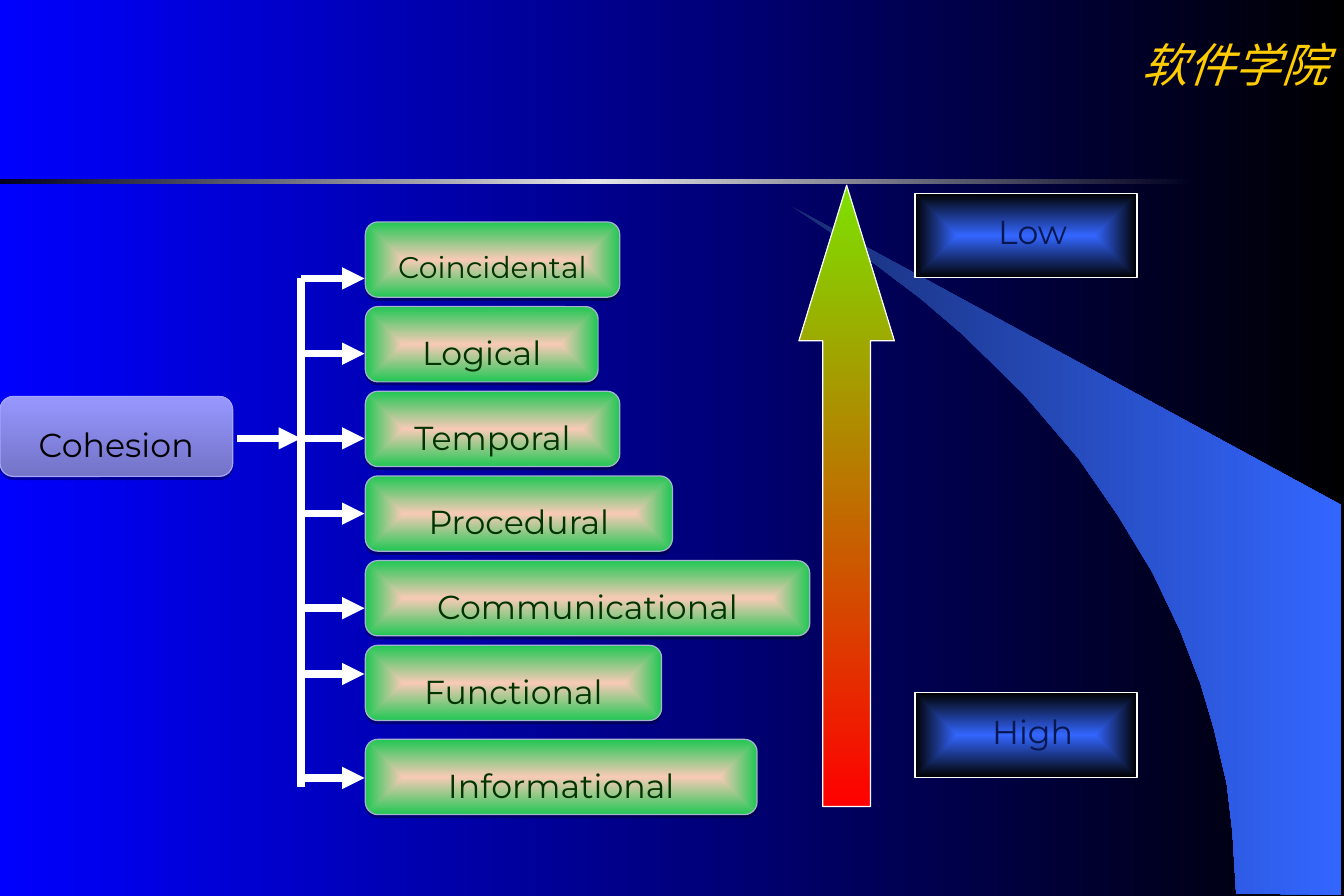
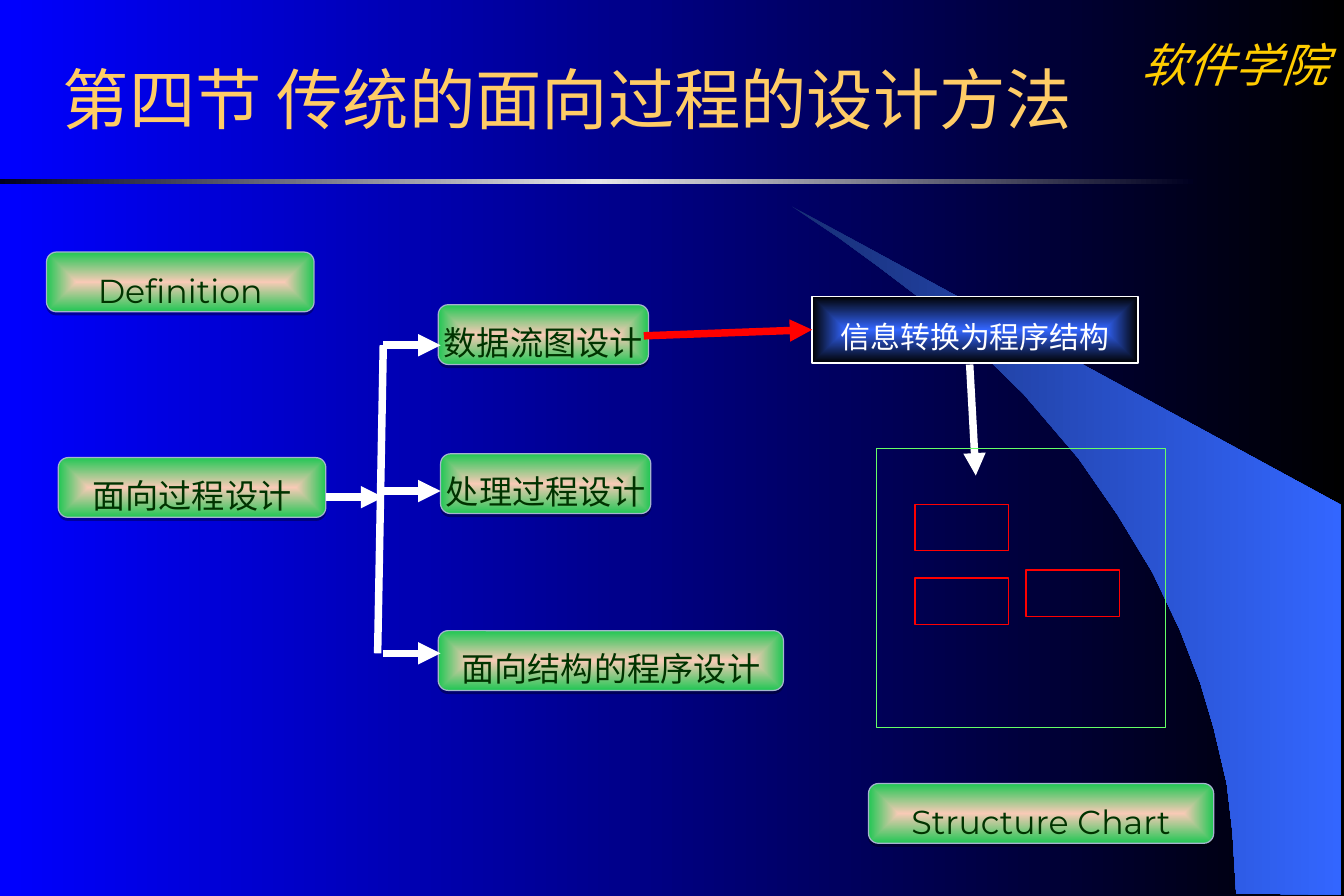
from copy import deepcopy

from lxml.etree import SubElement
from pptx import Presentation
from pptx.dml.color import RGBColor
from pptx.enum.shapes import MSO_CONNECTOR, MSO_SHAPE
from pptx.enum.text import MSO_ANCHOR, PP_ALIGN
from pptx.oxml.ns import qn
from pptx.util import Cm, Pt

COLORS = {
    "blue": "0000FF", "black": "000000", "white": "FFFFFF", "red": "FF0000",
    "navy": "000020", "silver": "E5E5E8", "gold": "FFCC00", "title": "FFCC66",
    "deep": "182F76", "royal": "3366FF", "ink": "08184E",
    "violet": "7373C7", "lilac": "9797FF", "lilac_edge": "A4A4FB",
    "peach": "F8CAB6", "green": "21C754", "green_edge": "A5B5CF",
    "green_text": "003300", "lime": "7DE100", "frame": "66FF66",
}
RGB = {name: RGBColor.from_string(value) for name, value in COLORS.items()}

# Style: preset, gradient colours, angle (None runs from the centre), outline
STYLES = {
    "rule": (MSO_SHAPE.RECTANGLE, ("navy", "navy"), 0, None),
    "root": (MSO_SHAPE.ROUNDED_RECTANGLE, ("violet", "lilac"), 90, "lilac_edge"),
    "node": (MSO_SHAPE.ROUNDED_RECTANGLE, ("peach", "green"), None, "green_edge"),
    "label": (MSO_SHAPE.RECTANGLE, ("royal", "black"), None, "white"),
    "scale": (MSO_SHAPE.UP_ARROW, ("lime", "red"), 270, "white"),
    "red_frame": (MSO_SHAPE.RECTANGLE, None, 0, "red"),
    "green_frame": (MSO_SHAPE.RECTANGLE, None, 0, "frame"),
}


def add_box(s, style, left, top, width, height, text="", size=20,
            color="green_text", font="Montserrat", spacing=1.4):
    preset, shades, angle, edge = STYLES[style]
    sp = s.shapes.add_shape(preset, Cm(left), Cm(top), Cm(width), Cm(height))
    sp.shadow.inherit = False
    if shades:
        sp.fill.gradient()
        for stop, shade in zip(sp.fill.gradient_stops, shades):
            stop.color.rgb = RGB[shade]
        if angle is None:
            grad = sp.element.spPr.find(qn("a:gradFill"))
            grad.remove(grad.find(qn("a:lin")))
            centre = SubElement(grad, qn("a:path"), path="rect")
            SubElement(centre, qn("a:fillToRect"), dict.fromkeys("ltrb", "50000"))
        else:
            sp.fill.gradient_angle = angle
    else:
        sp.fill.background()
    if edge:
        sp.line.color.rgb = RGB[edge]
        sp.line.width = Pt(0.75)
    else:
        sp.line.fill.background()
    if preset == MSO_SHAPE.ROUNDED_RECTANGLE:
        effects = sp.element.spPr.find(qn("a:effectLst"))
        shadow = SubElement(effects, qn("a:outerShdw"), blurRad="0", dist="22860",
                            dir="5400000", rotWithShape="0")
        tint = SubElement(shadow, qn("a:srgbClr"), val=COLORS["black"])
        SubElement(tint, qn("a:alpha"), val="35000")
    if text:
        tf = sp.text_frame
        tf.margin_left = tf.margin_right = tf.margin_top = tf.margin_bottom = 0
        tf.vertical_anchor = MSO_ANCHOR.MIDDLE
        tf.word_wrap = True
        tf.text = text
        p = tf.paragraphs[0]
        p.alignment = PP_ALIGN.CENTER
        p.line_spacing = spacing
        r = p.runs[0]
        r.font.size, r.font.name, r.font.color.rgb = Pt(size), font, RGB[color]
    return sp


def add_line(s, x1, y1, x2, y2, color="white", arrow=True):
    line = s.shapes.add_connector(MSO_CONNECTOR.STRAIGHT, Cm(x1), Cm(y1), Cm(x2), Cm(y2))
    line.line.color.rgb = RGB[color]
    line.line.width = Pt(4.5)
    if arrow:
        SubElement(line.element.spPr.find(qn("a:ln")), qn("a:tailEnd"), type="triangle")
    SubElement(line.element.spPr, qn("a:effectLst"))


prs = Presentation()
prs.slide_width, prs.slide_height = Cm(28.58), Cm(19.05)
layout = prs.slide_layouts[6]

# Shared background
fill = prs.slide_master.background.fill
fill.gradient()
fill.gradient_angle = 0
for stop, shade in zip(fill.gradient_stops, ("blue", "black")):
    stop.color.rgb = RGB[shade]

# Shared decoration: drawn on the first slide, then moved to the layout
s = prs.slides.add_slide(layout)
tb = s.shapes.add_textbox(Cm(23.93), Cm(0.64), Cm(4.65), Cm(1.45))
tf = tb.text_frame
tf.word_wrap = True
tf.text = "软件学院"
p = tf.paragraphs[0]
p.alignment = PP_ALIGN.CENTER
r = p.runs[0]
r.font.size, r.font.name, r.font.italic = Pt(28), "Times New Roman", True
r.font.color.rgb = RGB["gold"]

# Swoosh outline in hundredths of a centimetre
outline = [
    (2629, 1900), (2852, 1902), (2852, 1074), (1684, 439), (1783, 505), (1864, 564),
    (1958, 635), (2047, 711), (2177, 838), (2294, 975), (2377, 1095), (2451, 1217),
    (2510, 1341), (2553, 1453), (2581, 1547), (2609, 1666), (2621, 1768),
]
builder = s.shapes.build_freeform(*outline[0], scale=Cm(0.01))
builder.add_line_segments(outline[1:], close=True)
swoosh = builder.convert_to_shape()
swoosh.shadow.inherit = False
swoosh.line.fill.background()
swoosh.fill.gradient()
swoosh.fill.gradient_angle = 0
for stop, shade in zip(swoosh.fill.gradient_stops, ("deep", "royal")):
    stop.color.rgb = RGB[shade]

# Rule under the title, with a bright middle stop
rule = add_box(s, "rule", 0, 3.81, 25.37, 0.1)
stops = rule.element.spPr.find(qn("a:gradFill")).find(qn("a:gsLst"))
middle = deepcopy(stops[0])
middle.set("pos", "50000")
middle[0].set("val", COLORS["silver"])
stops.insert(1, middle)

for sp in (tb, swoosh, rule):
    layout.shapes.element.append(sp.element)

# Slide 1: kinds of cohesion, each with its width, arrow height and text size
add_box(s, "root", 0, 8.43, 4.95, 1.7, "Cohesion", color="black")
add_line(s, 6.4, 5.92, 6.4, 16.74, arrow=False)
add_line(s, 5.05, 9.32, 6.4, 9.32)
kinds = [
    ("Coincidental", 5.41, 5.92, 18),
    ("Logical", 4.95, 7.52, 20),
    ("Temporal", 5.41, 9.32, 20),
    ("Procedural", 6.53, 10.92, 20),
    ("Communicational", 9.45, 12.93, 20),
    ("Functional", 6.3, 14.33, 20),
    ("Informational", 8.33, 16.54, 20),
]
tops = [4.72 + 1.8 * i for i in range(6)] + [15.72]
for (text, width, arrow_y, size), top in zip(kinds, tops):
    add_box(s, "node", 7.77, top, width, 1.6, text, size)
    add_line(s, 6.4, arrow_y, 7.75, arrow_y)

# Slide 1: scale from high to low
scale = add_box(s, "scale", 16.99, 3.94, 2.03, 13.21)
scale.adjustments[0], scale.adjustments[1] = 0.5, 1.63
for text, top in (("Low", 4.11), ("High", 14.73)):
    label = add_box(s, "label", 19.46, top, 4.72, 1.8, text, color="ink", spacing=1.0)
    label.text_frame.margin_left = Cm(0.28)
    label.text_frame.margin_bottom = Cm(0.18)

# Slide 2: title
s = prs.slides.add_slide(layout)
tb = s.shapes.add_textbox(Cm(1.09), Cm(1.12), Cm(22.73), Cm(1.65))
tf = tb.text_frame
tf.word_wrap = True
tf.text = "第四节 传统的面向过程的设计方法"
r = tf.paragraphs[0].runs[0]
r.font.size, r.font.name, r.font.color.rgb = Pt(40), "Montserrat", RGB["title"]

# Slide 2: design steps
for text, left, top, width in [
    ("Definition", 0.99, 5.36, 5.69),
    ("面向过程设计", 1.24, 9.73, 5.69),
    ("数据流图设计", 9.32, 6.48, 4.47),
    ("处理过程设计", 9.37, 9.65, 4.47),
    ("面向结构的程序设计", 9.32, 13.41, 7.34),
    ("Structure Chart", 18.47, 16.66, 7.34),
]:
    add_box(s, "node", left, top, width, 1.27, text)
add_box(s, "label", 17.27, 6.3, 6.93, 1.42, "信息转换为程序结构", 18, "white", "Arial")

# Slide 2: connections
add_line(s, 8.15, 7.34, 8.03, 13.89, arrow=False)
add_line(s, 6.93, 10.57, 8.15, 10.57)
for y in (7.34, 10.44, 13.89):
    add_line(s, 8.15, y, 9.37, y)
add_line(s, 13.69, 7.14, 17.27, 7.01, "red")
add_line(s, 20.62, 7.75, 20.75, 10.11)

# Slide 2: structure chart sketch
for left, top in ((19.46, 10.72), (19.46, 12.29), (21.82, 12.12)):
    add_box(s, "red_frame", left, top, 1.98, 0.99)
add_box(s, "green_frame", 18.64, 9.53, 6.15, 5.94)

prs.save("out.pptx")
